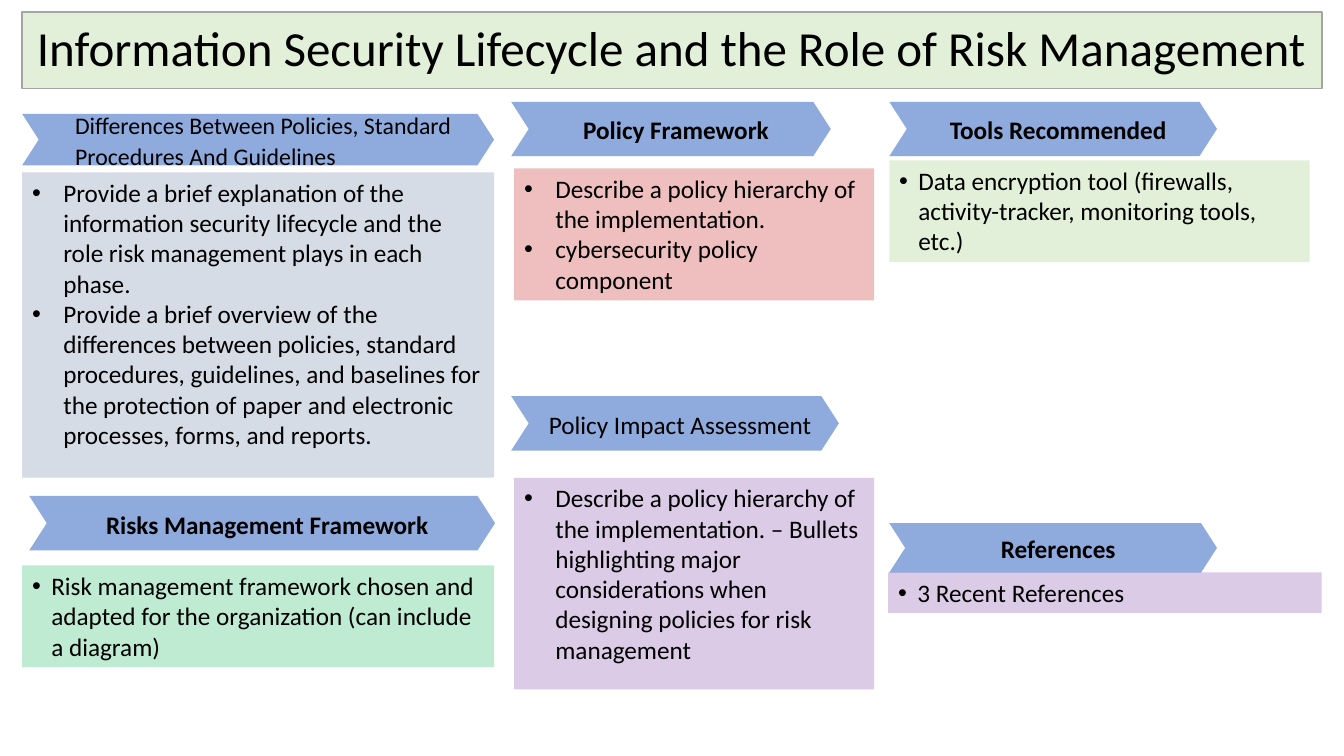
from dataclasses import dataclass
from typing import NamedTuple

from lxml import etree
from pptx import Presentation
from pptx.dml.color import RGBColor
from pptx.enum.shapes import MSO_SHAPE
from pptx.enum.text import MSO_ANCHOR, MSO_AUTO_SIZE, PP_ALIGN
from pptx.oxml.ns import qn
from pptx.util import Inches, Pt

RECTANGLE, CHEVRON = MSO_SHAPE.RECTANGLE, MSO_SHAPE.CHEVRON
TOP, MIDDLE = MSO_ANCHOR.TOP, MSO_ANCHOR.MIDDLE
LEFT, CENTER = PP_ALIGN.LEFT, PP_ALIGN.CENTER
GROW = MSO_AUTO_SIZE.SHAPE_TO_FIT_TEXT


@dataclass(frozen=True)
class Theme:
    font: str = "Calibri"
    ink: str = "000000"
    border: str = "A5A5A5"
    heading: str = "8FAADC"
    green: str = "E2F0D9"
    grey: str = "D6DCE5"
    red: str = "C00000"
    purple: str = "7030A0"
    emerald: str = "00B050"
    title_size: float = 35
    text_size: float = 18
    small_size: float = 17


class Box(NamedTuple):
    left: float
    top: float
    width: float
    height: float

    def inside(self, area):
        return Box(area.left + self.left, area.top + self.top, self.width, self.height)


THEME = Theme()
WIDE, NARROW = 0.31, 0.19  # bullet indents


def add_panel(page, kind, box, fill, alpha=100, border=None):
    panel = page.shapes.add_shape(kind, *map(Inches, box))
    panel.shadow.inherit = False
    panel.fill.solid()
    panel.fill.fore_color.rgb = RGBColor.from_string(fill)
    if alpha < 100:
        color = panel.element.spPr.find(qn("a:solidFill"))[0]
        etree.SubElement(color, qn("a:alpha")).set("val", str(alpha * 1000))
    if border:
        panel.line.color.rgb = RGBColor.from_string(border)
        panel.line.width = Pt(1)
    else:
        panel.line.fill.background()
    return panel


def write(panel, *texts, size=THEME.text_size, bold=False, align=LEFT,
          anchor=TOP, spacing=None, indent=0):
    frame = panel.text_frame
    frame.word_wrap = True
    frame.vertical_anchor = anchor
    for number, text in enumerate(texts):
        para = frame.add_paragraph() if number else frame.paragraphs[0]
        para.alignment = align
        if spacing:
            para.line_spacing = spacing
        if indent:
            props = para._p.get_or_add_pPr()
            props.set("marL", str(Inches(indent)))
            props.set("indent", str(-Inches(indent)))
            etree.SubElement(props, qn("a:buFont")).set("typeface", "Arial")
            etree.SubElement(props, qn("a:buChar")).set("char", "•")
        span = para.add_run()
        span.text = text
        span.font.name = THEME.font
        span.font.size = Pt(size)
        span.font.bold = bold
        span.font.color.rgb = RGBColor.from_string(THEME.ink)
    return frame


def add_title(page, box, text):
    panel = add_panel(page, RECTANGLE, box, THEME.green, border=THEME.border)
    write(panel, text, size=THEME.title_size, align=CENTER, anchor=MIDDLE, spacing=0.9)


def add_heading(page, box, text, **style):
    chevron = add_panel(page, CHEVRON, box, THEME.heading)
    chevron.adjustments[0] = 0.322
    frame = write(chevron, text, anchor=MIDDLE, spacing=1.06, **style)
    frame.margin_left = Inches(0.2)
    # Centre the left-aligned text block as a whole
    chevron.element.find(".//" + qn("a:bodyPr")).set("anchorCtr", "1")


def add_section(page, area, title, texts, heading, body, fill, alpha=100,
                indent=WIDE, **style):
    """Place a chevron heading and a bulleted panel within the area."""
    add_heading(page, heading.inside(area), title, **style)
    panel = add_panel(page, RECTANGLE, body.inside(area), fill, alpha)
    write(panel, *texts, indent=indent).auto_size = GROW


def build_left_column(page, area):
    add_section(
        page, area, "Differences Between Policies, Standard Procedures And Guidelines",
        ["Provide a brief explanation of the information security lifecycle and the "
         "role risk management plays in each phase.",
         "Provide a brief overview of the differences between policies, standard "
         "procedures, guidelines, and baselines for the protection of paper and "
         "electronic processes, forms, and reports."],
        Box(0, 0.12, area.width, 0.51), Box(0, 0.7, area.width, 3.03),
        THEME.grey, size=THEME.small_size)
    add_section(
        page, area, "Risks Management Framework",
        ["Risk management framework chosen and adapted for the organization "
         "(can include a diagram)"],
        Box(0.07, 3.91, 4.62, 0.54), Box(0, 4.6, area.width, 1.01),
        THEME.emerald, alpha=25, indent=NARROW, bold=True)


def build_middle_column(page, area):
    hierarchy = "Describe a policy hierarchy of the implementation."
    add_section(
        page, area, "Policy Framework", [hierarchy, "cybersecurity policy component"],
        Box(0, 0, 3.17, 0.54), Box(0.03, 0.66, 3.57, 1.31),
        THEME.red, alpha=25, bold=True)
    add_section(
        page, area, "Policy Impact Assessment",
        [hierarchy + " – Bullets highlighting major considerations when "
         "designing policies for risk management"],
        Box(0, 2.92, 3.25, 0.54), Box(0.03, 3.73, 3.57, 2.1),
        THEME.purple, alpha=25)


def build_right_column(page, area):
    add_section(
        page, area, "Tools Recommended",
        ["Data encryption tool (firewalls, activity-tracker, monitoring tools, etc.)"],
        Box(0, 0, 3.25, 0.54), Box(0, 0.58, 4.17, 1.01),
        THEME.green, indent=NARROW, bold=True)
    add_section(
        page, area, "References", ["3 Recent References"],
        Box(0, 4.18, 3.25, 0.49), Box(-0.01, 4.67, 4.3, 0.4),
        THEME.purple, alpha=25, indent=NARROW, bold=True)


deck = Presentation()
deck.slide_width, deck.slide_height = Inches(13.33), Inches(7.5)
page = deck.slides.add_slide(deck.slide_layouts[6])

add_title(page, Box(0.22, 0.12, 12.89, 0.76),
          "Information Security Lifecycle and the Role of Risk Management")
build_left_column(page, Box(0.22, 1.01, 4.68, 5.83))
build_middle_column(page, Box(5.07, 1.01, 3.6, 5.83))
build_right_column(page, Box(8.82, 1.01, 4.29, 5.83))

deck.save("out.pptx")
